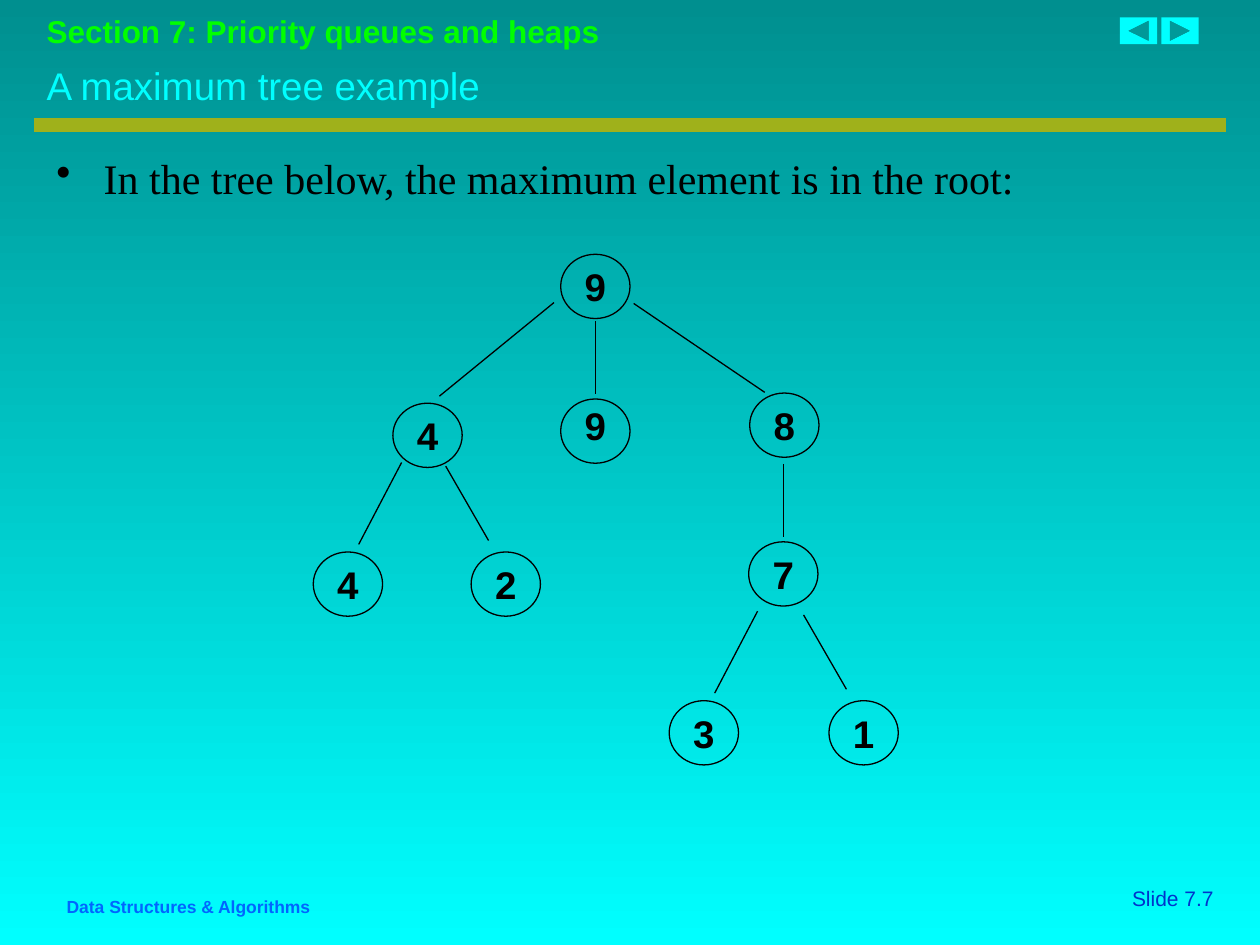
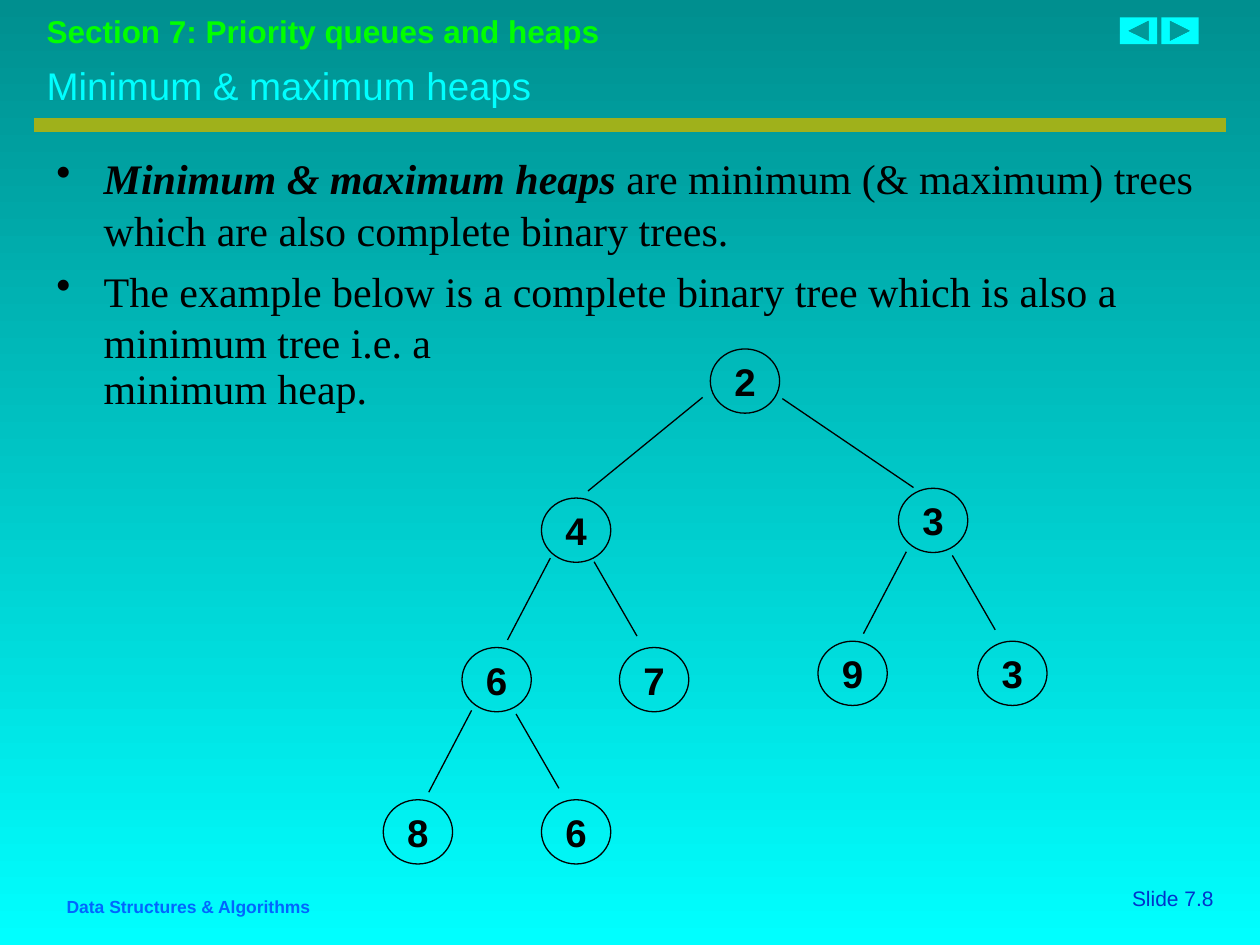
from collections import namedtuple

from lxml.etree import SubElement
from pptx import Presentation
from pptx.dml.color import RGBColor
from pptx.enum.shapes import MSO_CONNECTOR, MSO_SHAPE
from pptx.enum.text import MSO_ANCHOR, PP_ALIGN
from pptx.oxml.ns import qn
from pptx.util import Pt

BLACK, CYAN, TEAL = "000000", "00FFFF", "008F8F"
OLIVE, GREEN, NAVY, BLUE = "9FB11B", "00FF00", "0033CC", "0066FF"
SANS, SERIF = "Arial", "Times New Roman"
NODE_WIDTH, NODE_HEIGHT = 39.6, 36.7
BODY_INDENT = 27

# An edge ends at an offset from its child's corner, after a fixed run from the parent.
Edge = namedtuple("Edge", "end_x end_y run_x run_y")
LEFT = Edge(26, -4.3, -24.5, 46.8)
RIGHT = Edge(10, -6.5, 24.5, 42.5)
WIDE_LEFT = Edge(26.6, -4, -65.5, 53.5)
WIDE_RIGHT = Edge(8.6, -0.4, 74.9, 50.8)
DOWN = Edge(20, -3, 0, 41.5)

Node = namedtuple("Node", "value x y edge lift", defaults=(None, 0))
Passage = namedtuple("Passage", "runs bullet line_spacing", defaults=(True, 1.03))

MAXIMUM_TREE = [
    Node("9", 320.4, 145.3),
    Node("4", 224.5, 230.4, WIDE_LEFT),
    Node("9", 320.4, 228, DOWN, 3.6),
    Node("8", 428.4, 224.6, WIDE_RIGHT),
    Node("4", 179, 315.4, LEFT),
    Node("2", 269.2, 315.4, RIGHT),
    Node("7", 427.8, 309.6, DOWN),
    Node("3", 382.4, 400.4, LEFT),
    Node("1", 473.7, 400.4, RIGHT),
]
MINIMUM_HEAP = [
    Node("2", 405.9, 199.4),
    Node("4", 309.4, 284.6, WIDE_LEFT),
    Node("3", 513.4, 279, WIDE_RIGHT),
    Node("6", 264, 370, LEFT),
    Node("7", 354, 370, RIGHT),
    Node("9", 467.4, 366.4, LEFT),
    Node("3", 558.7, 366.4, RIGHT),
    Node("8", 219, 457, LEFT),
    Node("6", 309.4, 457, RIGHT),
]
MAXIMUM_TEXT = [
    Passage([("In the tree below, the maximum element is in the root:", False)]),
]
HEAP_TEXT = [
    Passage([
        ("Minimum & maximum heaps", True),
        (" are minimum (& maximum) trees which are also complete binary trees.", False),
    ]),
    Passage([("The example below is a complete binary tree which is also a "
              "minimum tree i.e. a", False)]),
    Passage([("minimum heap.", False)], bullet=False, line_spacing=0.7),
]


def color(hex_string):
    return RGBColor.from_string(hex_string)


def set_font(font, name, size, hex_string, bold=False):
    font.name, font.size, font.bold = name, Pt(size), bold
    font.color.rgb = color(hex_string)


def add_text_frame(slide, left, top, width, height):
    box = slide.shapes.add_textbox(Pt(left), Pt(top), Pt(width), Pt(height))
    box.text_frame.word_wrap = True
    return box.text_frame


def add_label(slide, text, bounds, size, hex_string, bold=False,
              align=PP_ALIGN.LEFT, anchor=MSO_ANCHOR.TOP):
    frame = add_text_frame(slide, *bounds)
    frame.vertical_anchor = anchor
    paragraph = frame.paragraphs[0]
    paragraph.text = text
    paragraph.alignment = align
    set_font(paragraph.font, SANS, size, hex_string, bold)


def add_line(slide, start_x, start_y, end_x, end_y, hex_string, width):
    line = slide.shapes.add_connector(
        MSO_CONNECTOR.STRAIGHT, Pt(start_x), Pt(start_y), Pt(end_x), Pt(end_y))
    line.line.color.rgb = color(hex_string)
    line.line.width = Pt(width)
    SubElement(line._element.spPr, qn("a:effectLst"))


def add_shape(slide, kind, left, top, width, height):
    shape = slide.shapes.add_shape(kind, Pt(left), Pt(top), Pt(width), Pt(height))
    shape.shadow.inherit = False
    return shape


def add_button(slide, kind, left, width):
    button = add_shape(slide, kind, left, 10, width, 15.3)
    button.fill.solid()
    button.fill.fore_color.rgb = color(CYAN)
    button.line.fill.background()


def add_node(slide, node):
    """Draw a tree node and the edge that leads down to it."""
    if node.edge:
        end_x, end_y = node.x + node.edge.end_x, node.y + node.edge.end_y
        add_line(slide, end_x - node.edge.run_x, end_y - node.edge.run_y,
                 end_x, end_y, BLACK, 0.75)
    circle = add_shape(slide, MSO_SHAPE.OVAL, node.x, node.y, NODE_WIDTH, NODE_HEIGHT)
    circle.fill.background()
    circle.line.color.rgb = color(BLACK)
    circle.line.width = Pt(0.75)
    frame = circle.text_frame
    frame.margin_left = frame.margin_right = frame.margin_top = 0
    frame.margin_bottom = Pt(2 * node.lift)
    frame.word_wrap = False
    frame.vertical_anchor = MSO_ANCHOR.MIDDLE
    paragraph = frame.paragraphs[0]
    paragraph.text = node.value
    paragraph.alignment = PP_ALIGN.CENTER
    set_font(paragraph.font, SANS, 22, BLACK, bold=True)


def set_indent(paragraph, bullet):
    properties = paragraph._p.get_or_add_pPr()
    properties.set("marL", str(Pt(BODY_INDENT)))
    properties.set("indent", str(-Pt(BODY_INDENT) if bullet else 0))
    if bullet:
        SubElement(properties, qn("a:buChar"), char="•")
    else:
        SubElement(properties, qn("a:buNone"))


def add_body(slide, passages):
    frame = add_text_frame(slide, 25.2, 82.8, 674.6, 391)
    for index, passage in enumerate(passages):
        paragraph = frame.add_paragraph() if index else frame.paragraphs[0]
        set_indent(paragraph, passage.bullet)
        paragraph.space_before = Pt(5 if index else 0)
        paragraph.line_spacing = passage.line_spacing
        set_font(paragraph.font, SERIF, 24, BLACK)
        for text, emphasized in passage.runs:
            run = paragraph.add_run()
            run.text = text
            set_font(run.font, SERIF, 24, BLACK, emphasized)
            run.font.italic = emphasized


def add_frame(slide, title, number):
    """Add the background, header and footer that every slide shares."""
    fill = slide.background.fill
    fill.gradient()
    fill.gradient_angle = 270
    for stop, hex_string in zip(fill.gradient_stops, (TEAL, CYAN)):
        stop.color.rgb = color(hex_string)
    add_label(slide, f"Slide {number}", (586.8, 502.6, 113.8, 21.6), 12, NAVY,
              align=PP_ALIGN.RIGHT)
    add_line(slide, 19.5, 71.5, 700.5, 71.5, OLIVE, 8)
    add_label(slide, "Section 7: Priority queues and heaps",
              (19.5, 3.6, 680.4, 28.8), 18, GREEN, bold=True)
    add_button(slide, MSO_SHAPE.ACTION_BUTTON_FORWARD_OR_NEXT, 663.6, 21.3)
    add_button(slide, MSO_SHAPE.ACTION_BUTTON_BACK_OR_PREVIOUS, 640, 21.2)
    add_label(slide, "Data Structures & Algorithms",
              (31, 508.3, 221, 19.4), 10, BLUE, bold=True)
    add_label(slide, title, (19.5, 31.7, 663, 33.8), 22, CYAN,
              anchor=MSO_ANCHOR.MIDDLE)


def add_tree_slide(presentation, title, number, passages, tree):
    slide = presentation.slides.add_slide(presentation.slide_layouts[6])
    add_frame(slide, title, number)
    add_body(slide, passages)
    for node in tree:
        add_node(slide, node)


def main():
    presentation = Presentation()
    presentation.slide_width, presentation.slide_height = Pt(720), Pt(540)
    add_tree_slide(presentation, "A maximum tree example", "7.7",
                   MAXIMUM_TEXT, MAXIMUM_TREE)
    add_tree_slide(presentation, "Minimum & maximum heaps", "7.8",
                   HEAP_TEXT, MINIMUM_HEAP)
    presentation.save("out.pptx")


if __name__ == "__main__":
    main()
